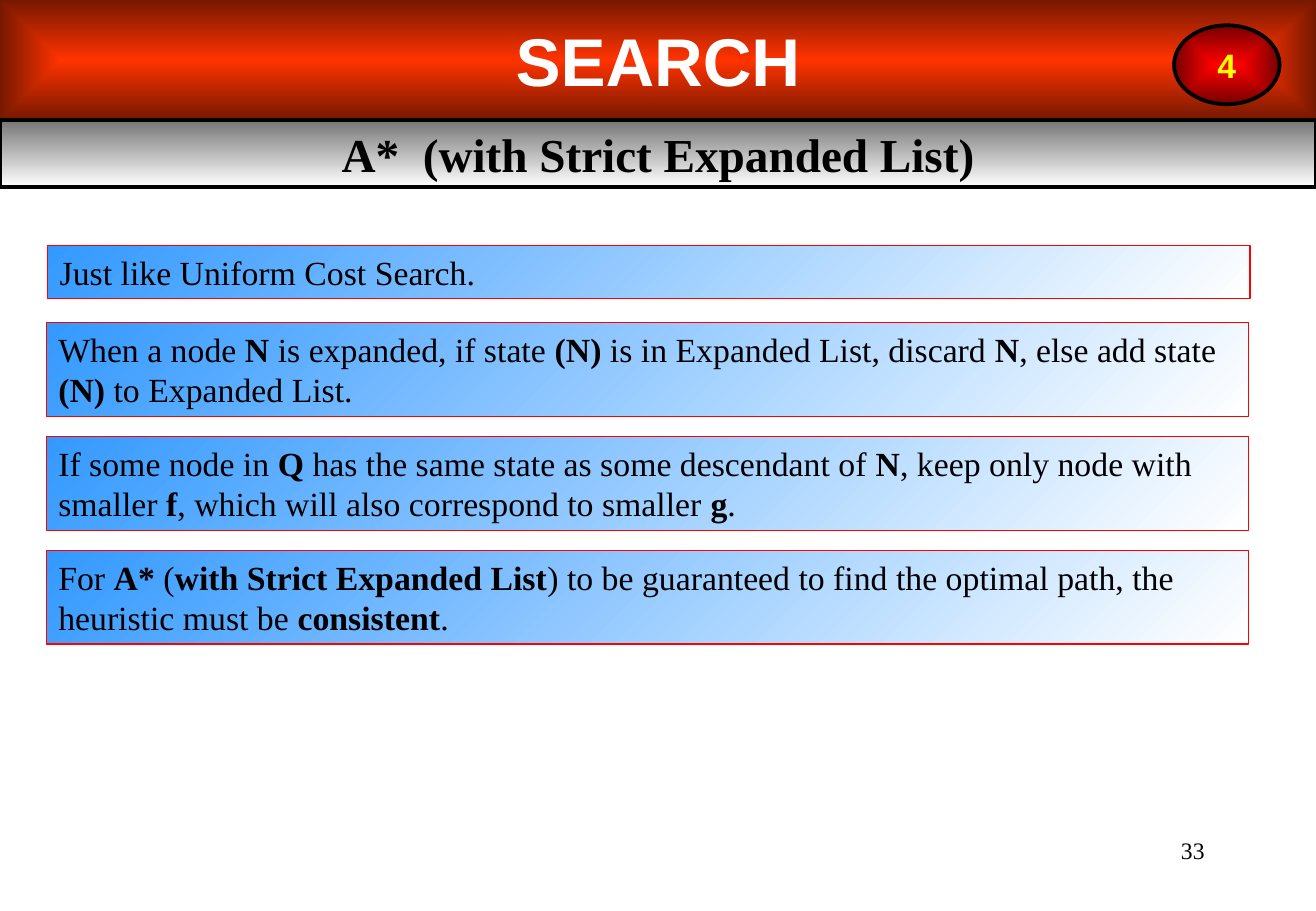
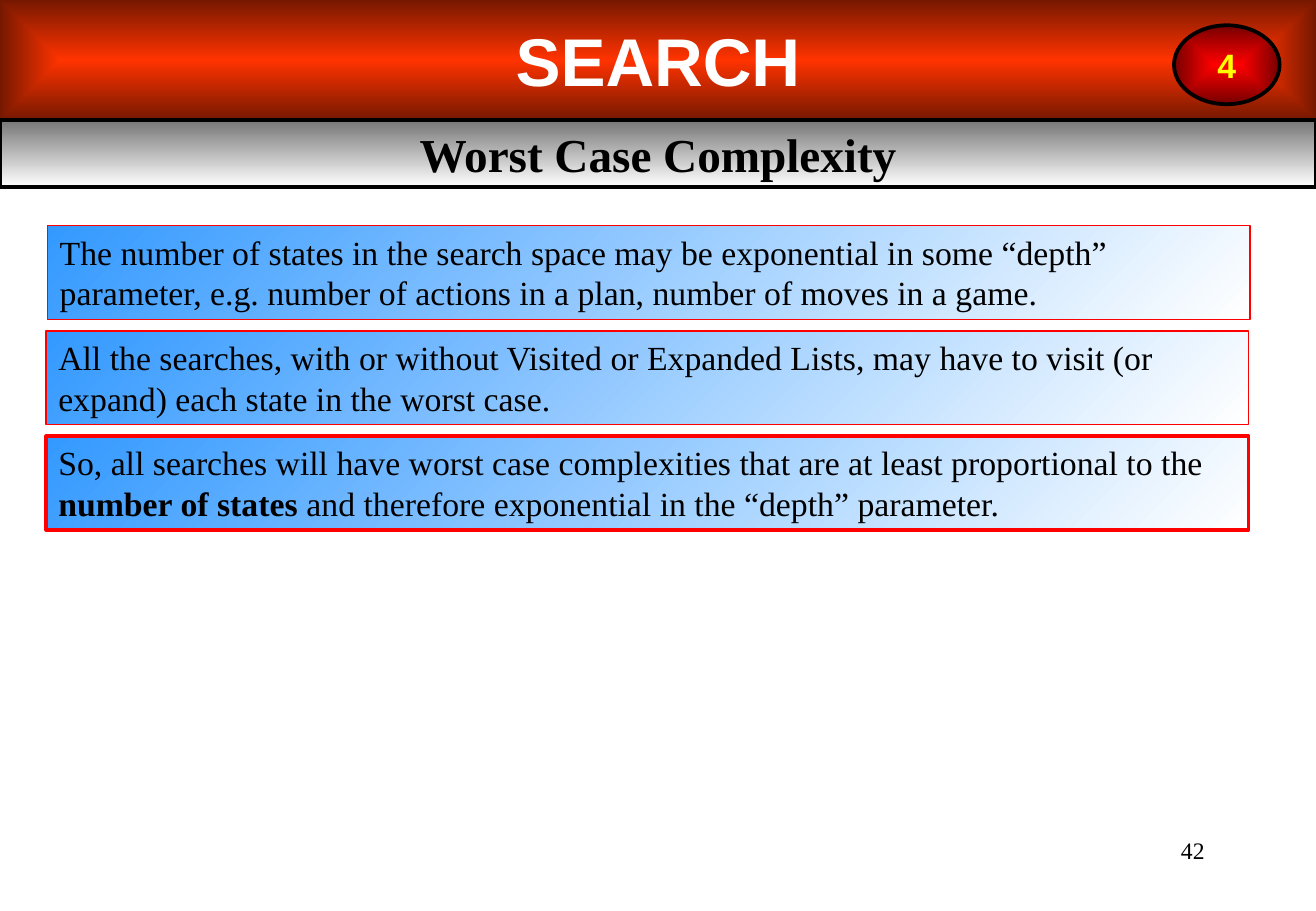
"""Build two lecture slides on search algorithms."""
from dataclasses import dataclass

from lxml import etree
from pptx import Presentation
from pptx.dml.color import RGBColor as RGB
from pptx.enum.shapes import MSO_SHAPE as SHAPE
from pptx.enum.text import MSO_ANCHOR as ANCHOR, MSO_AUTO_SIZE as AUTO, PP_ALIGN as ALIGN
from pptx.oxml.ns import qn
from pptx.util import Cm, Pt


@dataclass(frozen=True)
class Theme:
    """Colours, fonts, type sizes and shared measures in centimetres."""
    black: str = "000000"
    white: str = "FFFFFF"
    yellow: str = "FFFF00"
    card_line: str = "FF0000"
    banner_fill: tuple = ("FF3300", "761800")
    heading_fill: tuple = ("767676", "FFFFFF")
    badge_fill: tuple = ("FF0000", "760000")
    card_fill: tuple = ("3399FF", "FFFFFF")
    sans: str = "Arial"
    serif: str = "Times New Roman"
    banner_size: int = 40
    heading_size: int = 28
    body_size: int = 20
    number_size: int = 14
    frame_width: float = 2.25
    slide_width: float = 27.53
    slide_height: float = 19.05
    banner_height: float = 2.51
    heading_height: float = 1.4
    card_left: float = 0.97
    card_width: float = 25.15
    card_padding: float = 0.26
    line_height: float = 0.85


T = Theme()


def style_font(font, size, name, color, bold=False):
    """Set size, typeface, colour and weight of a font."""
    font.size, font.name, font.bold = Pt(size), name, bold
    font.color.rgb = RGB.from_string(color)


def fill_gradient(sp, colors, angle=None):
    """Fill with a linear gradient, or one from the centre if no angle is given."""
    sp.fill.gradient()
    for stop, color in zip(sp.fill.gradient_stops, colors):
        stop.color.rgb = RGB.from_string(color)
    if angle is not None:
        sp.fill.gradient_angle = 360 - angle
        return
    grad = sp._element.spPr.find(qn("a:gradFill"))
    grad.remove(grad.find(qn("a:lin")))
    focus = etree.SubElement(grad, qn("a:path"), path="rect")
    etree.SubElement(focus, qn("a:fillToRect"), l="50000", t="50000", r="50000", b="50000")


def add_panel(s, kind, box, colors, angle=None, line=None, width=T.frame_width):
    """Add a gradient shape without shadow."""
    sp = s.shapes.add_shape(kind, *map(Cm, box))
    sp.shadow.inherit = False
    fill_gradient(sp, colors, angle)
    if line:
        sp.line.color.rgb = RGB.from_string(line)
        sp.line.width = Pt(width)
    else:
        sp.line.fill.background()
    return sp


def set_label(sp, text, size, name, color, bold=True, align=ALIGN.CENTER, wrap=True):
    """Write one line of uniform text into a shape."""
    tf = sp.text_frame
    tf.word_wrap = wrap
    tf.text = text
    p = tf.paragraphs[0]
    p.alignment = align
    style_font(p.runs[0].font, size, name, color, bold)


def add_frame(prs, heading, number):
    """Add a slide with page number, banner, heading and chapter badge."""
    s = prs.slides.add_slide(prs.slide_layouts[6])
    sp = s.shapes.add_textbox(Cm(19.71), Cm(17.35), Cm(5.74), Cm(1.27))
    set_label(sp, number, T.number_size, T.serif, T.black, False, ALIGN.RIGHT)
    sp = add_panel(s, SHAPE.RECTANGLE, (0, 0, T.slide_width, T.banner_height), T.banner_fill)
    set_label(sp, "SEARCH", T.banner_size, T.sans, T.white)
    box = (0, T.banner_height, T.slide_width, T.heading_height)
    sp = add_panel(s, SHAPE.RECTANGLE, box, T.heading_fill, 90, T.black)
    set_label(sp, heading, T.heading_size, T.serif, T.black)
    sp = add_panel(s, SHAPE.OVAL, (24.56, 0.53, 2.21, 1.65), T.badge_fill, line=T.black)
    set_label(sp, "4", T.body_size, T.sans, T.yellow, wrap=False)
    return s


def add_card(s, top, text, lines=2, width=0.75, left=T.card_left):
    """Add a blue card whose text switches bold on and off at each bar."""
    box = (left, top, T.card_width, lines * T.line_height + T.card_padding)
    sp = add_panel(s, SHAPE.RECTANGLE, box, T.card_fill, 45, T.card_line, width)
    tf = sp.text_frame
    tf.word_wrap, tf.auto_size, tf.vertical_anchor = True, AUTO.SHAPE_TO_FIT_TEXT, ANCHOR.TOP
    p = tf.paragraphs[0]
    p.alignment = ALIGN.LEFT
    for i, part in enumerate(text.split("|")):
        if part:
            r = p.add_run()
            r.text = part
            style_font(r.font, T.body_size, T.serif, T.black, i % 2 == 1)


def build_strict_list(prs):
    """Build the slide on A* with a strict expanded list."""
    s = add_frame(prs, "A*  (with Strict Expanded List)", "33")
    add_card(s, 5.13, "Just like Uniform Cost Search.", lines=1, left=1)
    rules = (
        "When a node |N| is expanded, if state |(N)| is in Expanded List, discard |N|, "
        "else add state |(N) |to Expanded List.",
        "If some node in |Q| has the same state as some descendant of |N|, keep only node "
        "with smaller |f|, which will also correspond to smaller |g|.",
        "For |A*| (|with Strict Expanded List|) to be guaranteed to find the optimal path, "
        "the heuristic must be |consistent|.",
    )
    for i, text in enumerate(rules):
        add_card(s, 6.75 + 2.38 * i, text)


def build_complexity(prs):
    """Build the slide on worst case complexity."""
    s = add_frame(prs, "Worst Case Complexity", "42")
    claims = (
        ("The number of states in the search space may be exponential in some “depth” "
         "parameter, e.g. number of actions in a plan, number of moves in a game.", 0.75, 1),
        ("All the searches, with or without Visited or Expanded Lists, may have to visit "
         "(or expand) each state in the worst case.", 1, T.card_left),
        ("So, all searches will have worst case complexities that are at least proportional "
         "to the |number of states |and therefore exponential in the “depth” parameter.",
         T.frame_width, T.card_left),
    )
    for i, (text, width, left) in enumerate(claims):
        add_card(s, 4.72 + 2.2 * i, text, width=width, left=left)


def main():
    """Build and save the presentation."""
    prs = Presentation()
    prs.slide_width, prs.slide_height = Cm(T.slide_width), Cm(T.slide_height)
    build_strict_list(prs)
    build_complexity(prs)
    prs.save("out.pptx")


if __name__ == "__main__":
    main()
